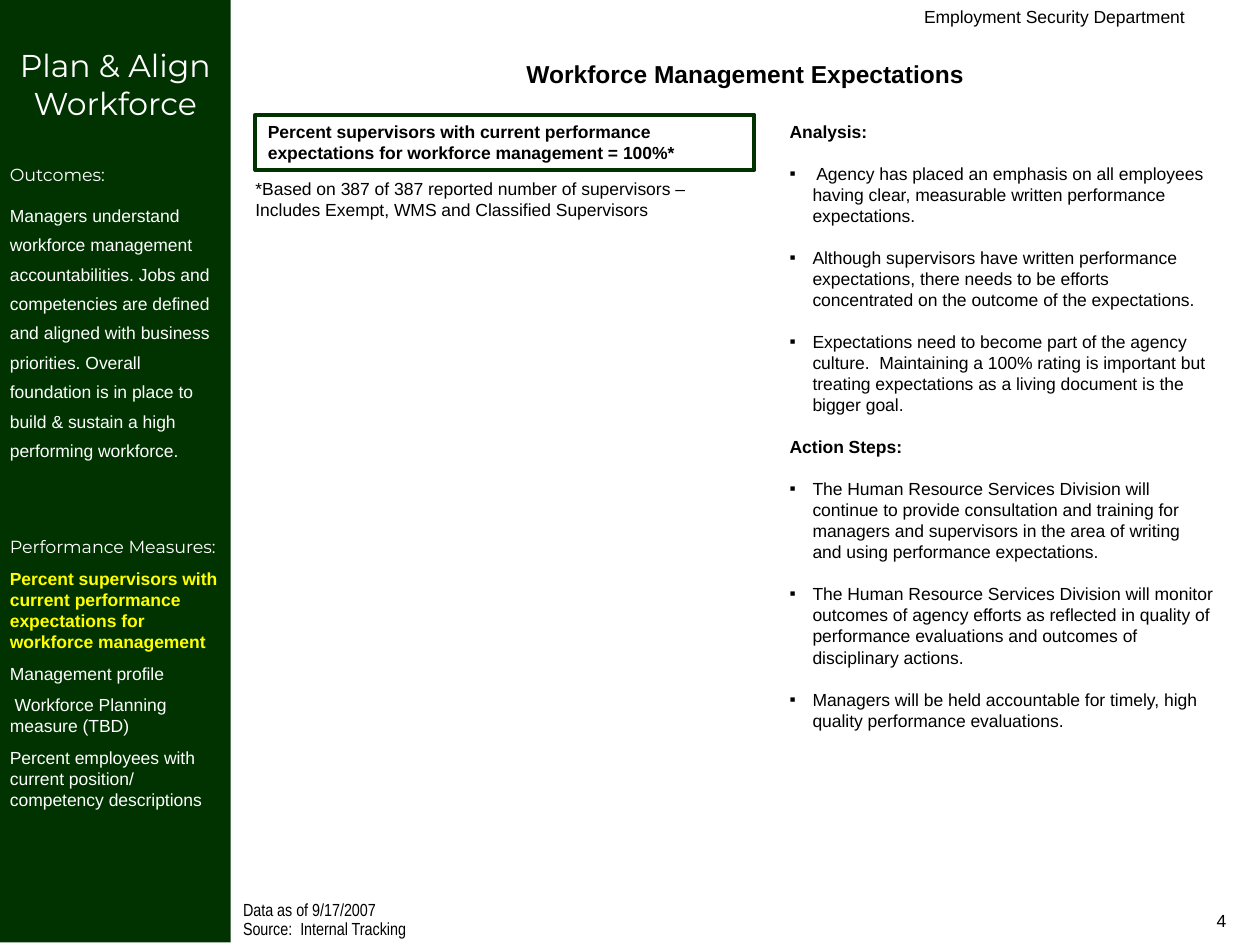
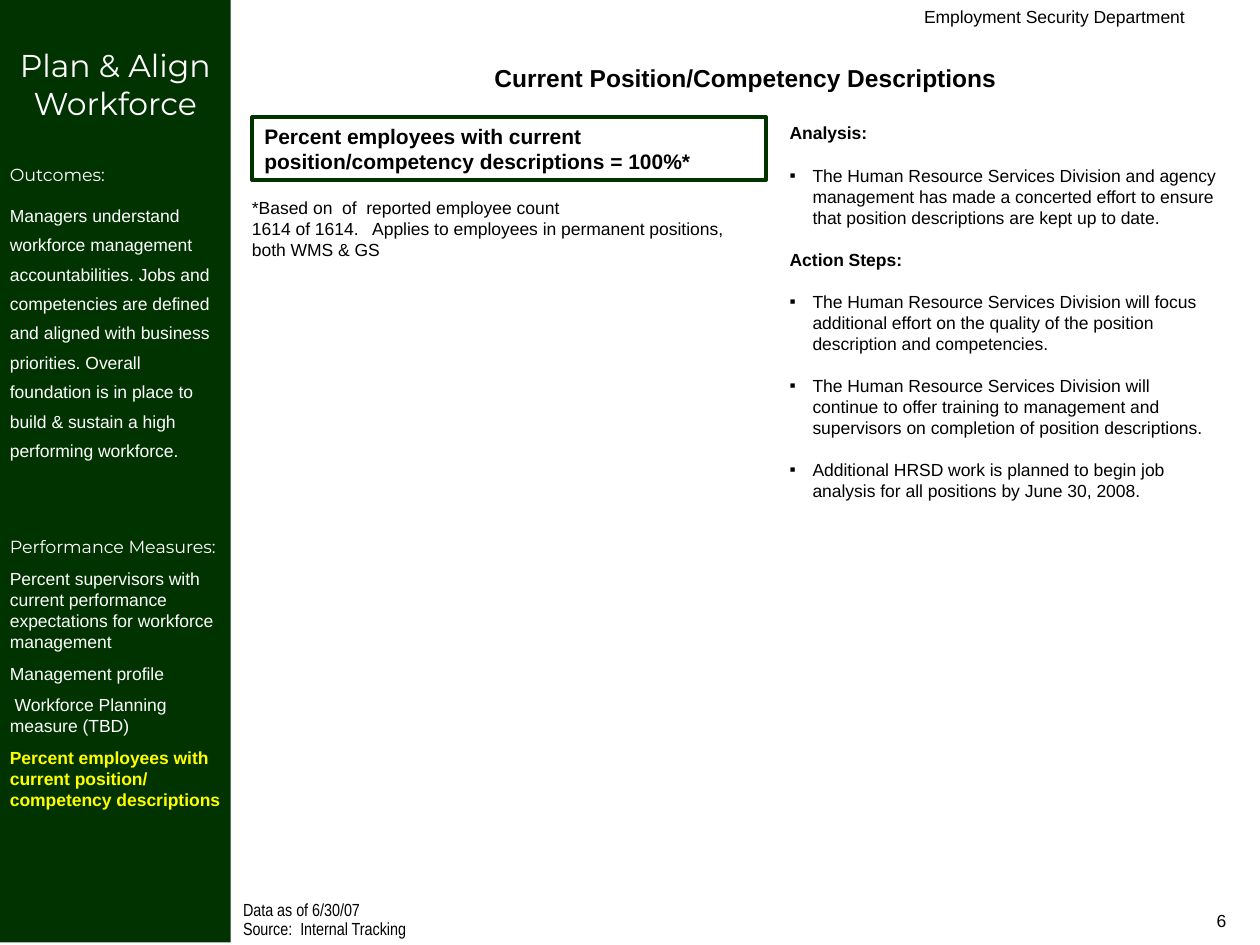
from dataclasses import dataclass

from lxml.etree import SubElement
from pptx import Presentation
from pptx.dml.color import RGBColor as RGB
from pptx.enum.shapes import MSO_SHAPE as Preset
from pptx.enum.text import MSO_ANCHOR as Anchor, PP_ALIGN as Align
from pptx.oxml.ns import qn
from pptx.util import Cm, Pt


@dataclass(frozen=True)
class Theme:
    green: RGB = RGB(0x00, 0x33, 0x00)
    yellow: RGB = RGB(0xFF, 0xFF, 0x00)
    white: RGB = RGB(0xFF, 0xFF, 0xFF)
    black: RGB = RGB(0x00, 0x00, 0x00)
    body_font: str = "Arial"
    heading_font: str = "Montserrat"
    source_font: str = "Arial Narrow"
    body: float = 10
    callout: float = 12
    title: float = 14
    section: float = 18
    border: float = 2.25


THEME = Theme()

OUTCOMES = (
    "Managers understand workforce management accountabilities. Jobs and "
    "competencies are defined and aligned with business priorities. Overall "
    "foundation is in place to build & sustain a high performing workforce."
)
MEASURES = [
    "Percent supervisors with current performance expectations for workforce management",
    "Management profile",
    " Workforce Planning measure (TBD)",
    "Percent employees with current position/ competency descriptions",
]

PAGES = [
    {
        "number": "4",
        "measure": 0,
        "title": ("Workforce Management Expectations", (4.65, 1.07, 20.75, 0.86)),
        "callout": (
            "Percent supervisors with current performance expectations "
            "for workforce management = 100%*",
            (5.15, 2.31, 10.06, 1.12), THEME.body,
        ),
        "basis": (
            "*Based on 387 of 387 reported number of supervisors – "
            "Includes Exempt, WMS and Classified Supervisors",
            (4.9, 3.45, 10.06, 1.12),
        ),
        "commentary_area": (15.67, 2.31, 9.04, 14.48),
        "analysis": [
            " Agency has placed an emphasis on all employees having clear, "
            "measurable written performance expectations.",
            "Although supervisors have written performance expectations, there needs "
            "to be efforts concentrated on the outcome of the expectations.",
            "Expectations need to become part of the agency culture.  Maintaining a "
            "100% rating is important but treating expectations as a living document "
            "is the bigger goal.",
        ],
        "actions": [
            "The Human Resource Services Division will continue to provide consultation "
            "and training for managers and supervisors in the area of writing and using "
            "performance expectations.",
            "The Human Resource Services Division will monitor outcomes of agency "
            "efforts as reflected in quality of performance evaluations and outcomes "
            "of disciplinary actions.",
            "Managers will be held accountable for timely, high quality performance "
            "evaluations.",
        ],
        "data_date": "Data as of 9/17/2007",
    },
    {
        "number": "6",
        "measure": 3,
        "title": ("Current Position/Competency Descriptions", (4.87, 1.14, 20.32, 0.86)),
        "callout": (
            "Percent employees with current position/competency descriptions = 100%*",
            (5.08, 2.36, 10.36, 1.27), THEME.callout,
        ),
        "basis": (
            "*Based on  of  reported employee count\n"
            "1614 of 1614.   Applies to employees in permanent positions, both WMS & GS",
            (4.83, 3.84, 10.54, 1.52),
        ),
        "commentary_area": (15.67, 2.34, 9.09, 9.83),
        "analysis": [
            "The Human Resource Services Division and agency management has made a "
            "concerted effort to ensure that position descriptions are kept up to date.",
        ],
        "actions": [
            "The Human Resource Services Division will focus additional effort on the "
            "quality of the position description and competencies.",
            "The Human Resource Services Division will continue to offer training to "
            "management and supervisors on completion of position descriptions.",
            "Additional HRSD work is planned to begin job analysis for all positions "
            "by June 30, 2008.",
        ],
        "data_date": "Data as of 6/30/07",
    },
]


def prepare_frame(shape, insets=(0.25, 0.13, 0.25, 0.13)):
    frame = shape.text_frame
    frame.word_wrap = True
    frame.vertical_anchor = Anchor.TOP
    frame.margin_left, frame.margin_top, frame.margin_right, frame.margin_bottom = map(
        Cm, insets)
    return frame


def add_area(slide, area):
    return prepare_frame(slide.shapes.add_textbox(*map(Cm, area)))


def add_panel(slide, area, fill=None, border=None):
    panel = slide.shapes.add_shape(Preset.RECTANGLE, *map(Cm, area))
    panel.shadow.inherit = False
    if fill is None:
        panel.fill.background()
    else:
        panel.fill.solid()
        panel.fill.fore_color.rgb = fill
    if border is None:
        panel.line.fill.background()
    else:
        panel.line.color.rgb = border
        panel.line.width = Pt(THEME.border)
    return panel


def hang_paragraph(paragraph, bulleted):
    properties = paragraph._p.get_or_add_pPr()
    properties.set("marL", str(Cm(0.46)))
    properties.set("indent", str(-Cm(0.46)))
    if bulleted:
        colour = SubElement(properties, qn("a:buClr"))
        SubElement(colour, qn("a:srgbClr"), val=str(THEME.black))
        SubElement(properties, qn("a:buFont"), typeface=THEME.body_font)
        SubElement(properties, qn("a:buChar"), char="▪")


def write(frame, text, size=THEME.body, font=THEME.body_font, colour=THEME.black,
          bold=False, align=Align.LEFT, before=0, spacing=None):
    first = not frame.paragraphs[0].runs
    paragraph = frame.paragraphs[0] if first else frame.add_paragraph()
    paragraph.alignment = align
    if spacing:
        paragraph.line_spacing = spacing
    if not first:
        paragraph.space_before = Pt(before)
    for index, line in enumerate(text.split("\n")):
        if index:
            paragraph.add_line_break()
        run = paragraph.add_run()
        run.text = line
        run.font.size = Pt(size)
        run.font.name = font
        run.font.bold = bold
        run.font.color.rgb = colour
    return paragraph


def add_sidebar(slide, current_measure):
    sidebar = add_panel(slide, (0, 0, 4.65, 19), fill=THEME.green)
    frame = prepare_frame(sidebar, (0.2, 0.93, 0.2, 0.1))
    heading = {"font": THEME.heading_font, "colour": THEME.white}
    write(frame, "Plan & Align Workforce", THEME.section, align=Align.CENTER, **heading)
    write(frame, "Outcomes:", before=24.4, **heading)
    write(frame, OUTCOMES, colour=THEME.white, before=6.2, spacing=1.4)
    write(frame, "Performance Measures:", before=42.6, **heading)
    for index, measure in enumerate(MEASURES):
        current = index == current_measure
        write(frame, measure, bold=current, before=6.2,
              colour=THEME.yellow if current else THEME.white)


def add_commentary(slide, area, sections):
    frame = add_area(slide, area)
    for heading, points in sections:
        hang_paragraph(write(frame, heading, bold=True, before=12), bulleted=False)
        for point in points:
            hang_paragraph(write(frame, point, before=12), bulleted=True)


def add_callout(slide, text, area, size):
    callout = add_panel(slide, area, border=THEME.green)
    write(prepare_frame(callout), text, size, bold=True)


def add_source(slide, data_date):
    frame = add_area(slide, (4.65, 18.11, 12.27, 0.94))
    for line in (data_date, "Source:  Internal Tracking"):
        write(frame, line, font=THEME.source_font, before=2.5, spacing=0.7)


def add_page(deck, page):
    slide = deck.slides.add_slide(deck.slide_layouts[6])
    add_commentary(slide, page["commentary_area"],
                   [("Analysis:", page["analysis"]), ("Action Steps:", page["actions"])])
    add_sidebar(slide, page["measure"])
    add_source(slide, page["data_date"])
    add_callout(slide, *page["callout"])
    basis, basis_area = page["basis"]
    write(add_area(slide, basis_area), basis)
    title, title_area = page["title"]
    write(add_area(slide, title_area), title, THEME.title, bold=True, align=Align.CENTER)
    write(add_area(slide, (11.43, 0, 12.7, 0.64)), "Employment Security Department",
          align=Align.RIGHT)
    write(add_area(slide, (19.05, 18.21, 5.92, 0.84)), page["number"], align=Align.RIGHT)


def main():
    deck = Presentation()
    deck.slide_width, deck.slide_height = Cm(25.4), Cm(19.05)
    for page in PAGES:
        add_page(deck, page)
    deck.save("out.pptx")


if __name__ == "__main__":
    main()
